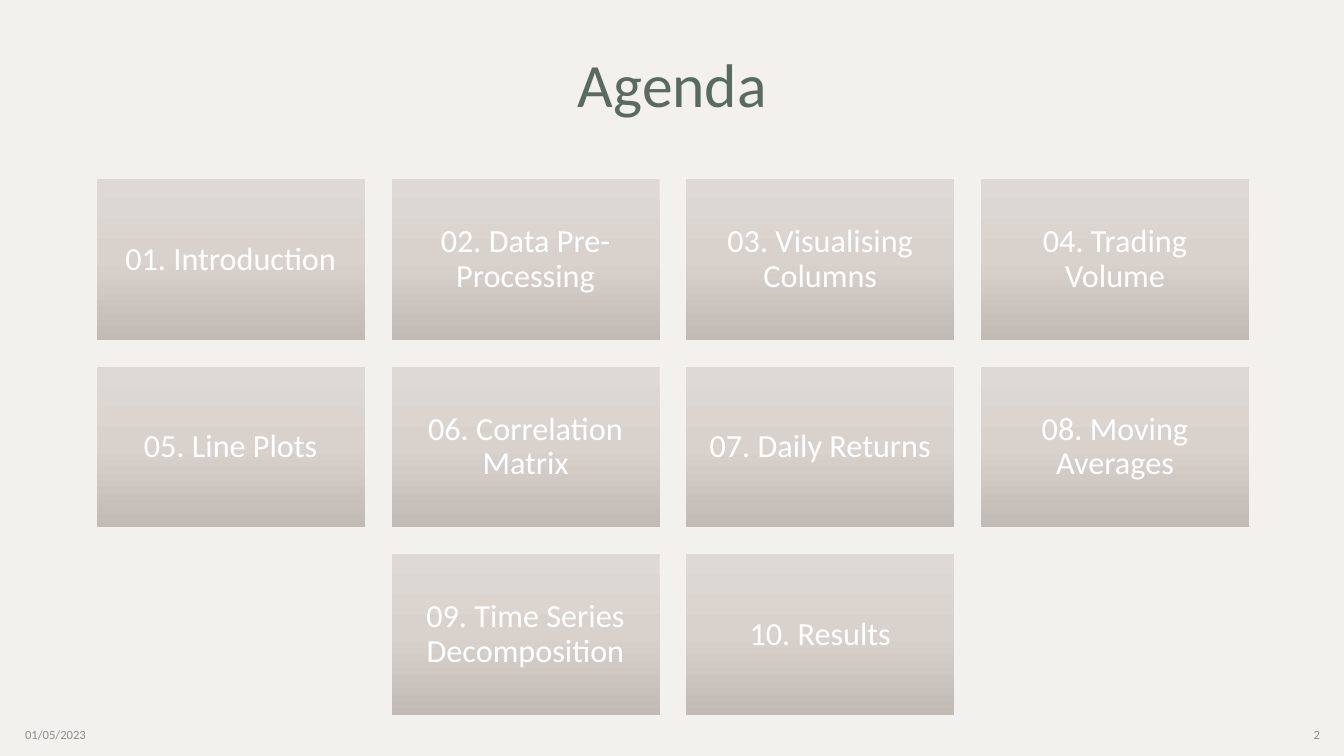
from copy import deepcopy
from dataclasses import dataclass

from pptx import Presentation
from pptx.dml.color import RGBColor as RGB
from pptx.enum.shapes import MSO_SHAPE as SHAPE
from pptx.enum.text import MSO_ANCHOR as ANCHOR, PP_ALIGN as ALIGN
from pptx.oxml.ns import qn
from pptx.util import Inches, Pt


@dataclass(frozen=True)
class Theme:
    font: str = "Calibri"
    background: str = "F2F1EE"
    title: str = "5B6A5E"
    card_text: str = "FFFFFF"
    footer: str = "8C8C8C"
    card_stops: tuple = ((0, "DED9D5"), (0.5, "D9D2CC"), (1, "C1BAB5"))
    title_size: int = 44
    card_size: int = 23
    footer_size: int = 9


THEME = Theme()
TOPICS = [
    "01. Introduction", "02. Data Pre-Processing",
    "03. Visualising Columns", "04. Trading Volume",
    "05. Line Plots", "06. Correlation Matrix",
    "07. Daily Returns", "08. Moving Averages",
    "09. Time Series Decomposition", "10. Results",
]
COLUMNS = 4
CARD_WIDTH, CARD_HEIGHT = 2.66, 1.59


def write(sp, text, size, color, inset=None, **paragraph_format):
    """Fill a shape with one vertically centred paragraph."""
    tf = sp.text_frame
    tf.word_wrap = True
    tf.vertical_anchor = ANCHOR.MIDDLE
    if inset is not None:
        for side in ("left", "top", "right", "bottom"):
            setattr(tf, f"margin_{side}", Inches(inset))
    p = tf.paragraphs[0]
    for name, value in paragraph_format.items():
        setattr(p, name, value)
    r = p.add_run()
    r.text = text
    for name, value in {"name": THEME.font, "size": Pt(size)}.items():
        setattr(r.font, name, value)
    r.font.color.rgb = RGB.from_string(color)


def add_label(slide, box, text, size, color, **paragraph_format):
    sp = slide.shapes.add_textbox(*map(Inches, box))
    write(sp, text, size, color, **paragraph_format)


def fill_gradient(sp):
    """Shade a shape from top to bottom with the theme's three stops."""
    sp.fill.gradient()
    sp.fill.gradient_angle = 270
    stops = sp._element.spPr.find(".//" + qn("a:gsLst"))
    stops.insert(1, deepcopy(stops[0]))
    for stop, (position, color) in zip(sp.fill.gradient_stops, THEME.card_stops):
        stop.position = position
        stop.color.rgb = RGB.from_string(color)


def add_card(slide, box, text):
    sp = slide.shapes.add_shape(SHAPE.RECTANGLE, *map(Inches, box))
    sp.shadow.inherit = False
    sp.line.fill.background()
    fill_gradient(sp)
    write(sp, text, THEME.card_size, THEME.card_text, inset=0.1,
          alignment=ALIGN.CENTER, line_spacing=0.9)


def add_agenda(slide, box, topics):
    """Spread the cards over the box, centring a row that is not full."""
    left, top, width, height = box
    rows = [topics[i:i + COLUMNS] for i in range(0, len(topics), COLUMNS)]
    step_x = (width - CARD_WIDTH) / (COLUMNS - 1)
    step_y = (height - CARD_HEIGHT) / (len(rows) - 1)
    for i, row in enumerate(rows):
        row_left = left + (COLUMNS - len(row)) * step_x / 2
        for j, topic in enumerate(row):
            add_card(slide, (row_left + j * step_x, top + i * step_y,
                             CARD_WIDTH, CARD_HEIGHT), topic)


def add_footer(slide, box, date, number):
    left, top, width, height = box
    label_width = 3
    for x, text, align in ((left, date, ALIGN.LEFT),
                           (left + width - label_width, number, ALIGN.RIGHT)):
        add_label(slide, (x, top, label_width, height), text,
                  THEME.footer_size, THEME.footer,
                  alignment=align, space_after=Pt(6))


def main():
    prs = Presentation()
    prs.slide_width, prs.slide_height = Inches(13.33), Inches(7.5)
    slide = prs.slides.add_slide(prs.slide_layouts[6])
    fill = slide.background.fill
    fill.solid()
    fill.fore_color.rgb = RGB.from_string(THEME.background)

    add_footer(slide, (0.15, 7.09, 13.04, 0.4), "01/05/2023", "2")
    add_label(slide, (0.93, 0.13, 11.48, 1.48), "Agenda",
              THEME.title_size, THEME.title,
              alignment=ALIGN.CENTER, line_spacing=0.9)
    add_agenda(slide, (0.96, 1.78, 11.43, 5.31), TOPICS)
    prs.save("out.pptx")


if __name__ == "__main__":
    main()
